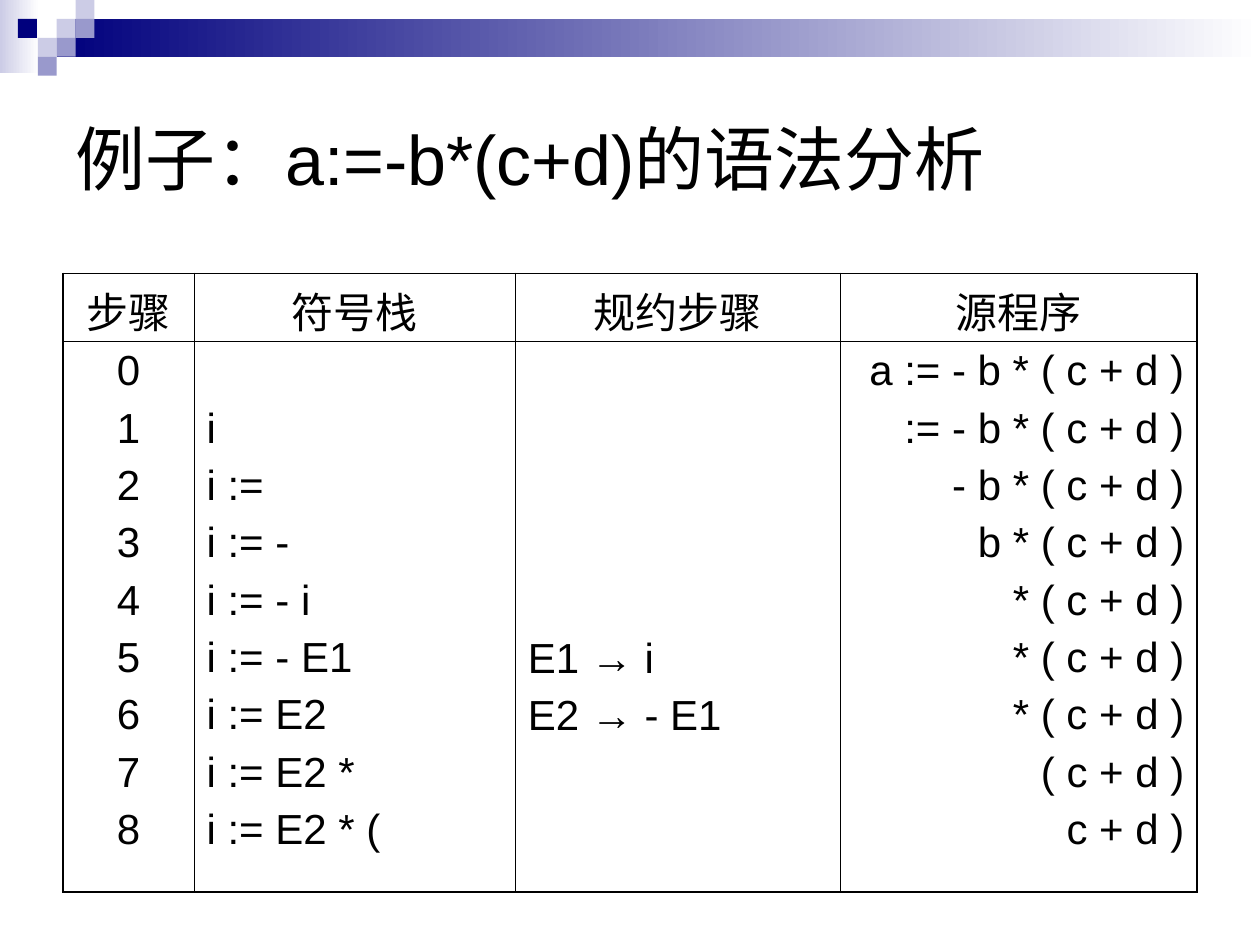
import pptx
import pptx.util
import pptx.dml.color
import pptx.enum.shapes
import pptx.enum.text
import pptx.oxml.ns
import lxml.etree

UNIT = 0.15   # grid step in inches
LINE = 0.456  # pitch of the table's text lines in inches
ALIGN = pptx.enum.text.PP_ALIGN
NAVY, MID, PALE, WHITE, BLACK = "00007D", "9999CC", "CCCCE6", "FFFFFF", "000000"


def color(code):
    return pptx.dml.color.RGBColor.from_string(code)


def inch(size):
    return pptx.util.Inches(size)


class Deck:
    font = "Arial"

    def __init__(self, slide):
        self.slide = slide

    def block(self, col, row, wide, high, *fill):
        """Draw a rectangle on the grid; two colors make a right-to-left blend."""
        box = [inch(n * UNIT) for n in (col, row, wide, high)]
        shape = self.slide.shapes.add_shape(
            pptx.enum.shapes.MSO_SHAPE.RECTANGLE, *box)
        shape.shadow.inherit = False
        shape.line.fill.background()
        if len(fill) == 1:
            shape.fill.solid()
            shape.fill.fore_color.rgb = color(fill[0])
            return
        shape.fill.gradient()
        shape.fill.gradient_angle = 180
        for stop, code, place in zip(shape.fill.gradient_stops, fill, (0, 1)):
            stop.color.rgb = color(code)
            stop.position = place

    def style(self, frame, size, align=ALIGN.LEFT, gap=0):
        for para in frame.paragraphs:
            para.alignment = align
            para.space_before = pptx.util.Pt(gap)
            for run in para.runs:
                run.font.size = pptx.util.Pt(size)
                run.font.name = self.font
                run.font.color.rgb = color(BLACK)

    def title(self, text, left, top, wide, high):
        box = self.slide.shapes.add_textbox(*map(inch, (left, top, wide, high)))
        frame = box.text_frame
        frame.word_wrap = True
        frame.vertical_anchor = pptx.enum.text.MSO_ANCHOR.MIDDLE
        frame.text = text
        self.style(frame, 40)

    def edge(self, cell, side, width):
        name = pptx.oxml.ns.qn
        props = cell._tc.get_or_add_tcPr()
        line = lxml.etree.SubElement(
            props, name("a:ln" + side), w=str(pptx.util.Pt(width)))
        fill = lxml.etree.SubElement(line, name("a:solidFill"))
        lxml.etree.SubElement(fill, name("a:srgbClr"), val=BLACK)

    def table(self, left, top, cols, rows, cells):
        """Each cell is (text, alignment, lines to skip at the top)."""
        box = map(inch, (left, top, sum(cols), sum(rows)))
        grid = self.slide.shapes.add_table(len(rows), len(cols), *box).table
        grid.first_row = grid.horz_banding = False
        for col, wide in zip(grid.columns, cols):
            col.width = inch(wide)
        for row, high in zip(grid.rows, rows):
            row.height = inch(high)
        for r, line in enumerate(cells):
            for c, (text, align, skip) in enumerate(line):
                cell = grid.cell(r, c)
                cell.margin_top = inch(0.05 + skip * LINE)
                cell.text_frame.text = text
                self.style(cell.text_frame, 24, align, 6)
                # Thick lines around the table, thin lines within
                outer = {"L": c == 0, "R": c == len(cols) - 1,
                         "T": r == 0, "B": r == len(rows) - 1}
                for side, thick in outer.items():
                    self.edge(cell, side, 1.08 if thick else 0.45)
                cell.fill.background()


def main():
    show = pptx.Presentation()
    show.slide_width, show.slide_height = inch(10), inch(7.5)
    deck = Deck(show.slides.add_slide(show.slide_layouts[6]))

    # Banner: blended strips, then the checker squares
    deck.block(0, 0, 2.07, 3.87, WHITE, PALE)
    deck.block(3, 1, 63.67, 2, WHITE, NAVY)
    for col, row, fill in ((3, 1, PALE), (4, 0, PALE), (4, 1, MID),
                           (2, 2, PALE), (0.95, 1, NAVY), (3, 2, MID),
                           (2, 3, MID)):
        deck.block(col, row, 1, 1, fill)

    deck.title("例子：a:=-b*(c+d)的语法分析", 0.5, 0.5, 9, 1.5)

    # Parsing steps: the stack starts at step 1, reductions at step 5
    heads = ("步骤", "符号栈", "规约步骤", "源程序")
    steps = "\n".join(str(n) for n in range(9))
    stack = "\n".join(("i", "i :=", "i := -", "i := - i", "i := - E1",
                       "i := E2", "i := E2 *", "i := E2 * ("))
    rules = "E1 → i\nE2 → - E1"
    rest = "\n".join(("a := - b * ( c + d )", ":= - b * ( c + d )",
                      "- b * ( c + d )", "b * ( c + d )",
                      *["* ( c + d )"] * 3, "( c + d )", "c + d )"))
    deck.table(0.5, 2.17, (1.04, 2.55, 2.58, 2.83), (0.54, 4.37), (
        [(head, ALIGN.CENTER, 0) for head in heads],
        [(steps, ALIGN.CENTER, 0), (stack, ALIGN.LEFT, 1),
         (rules, ALIGN.LEFT, 5), (rest, ALIGN.RIGHT, 0)]))

    show.save("out.pptx")


if __name__ == "__main__":
    main()
